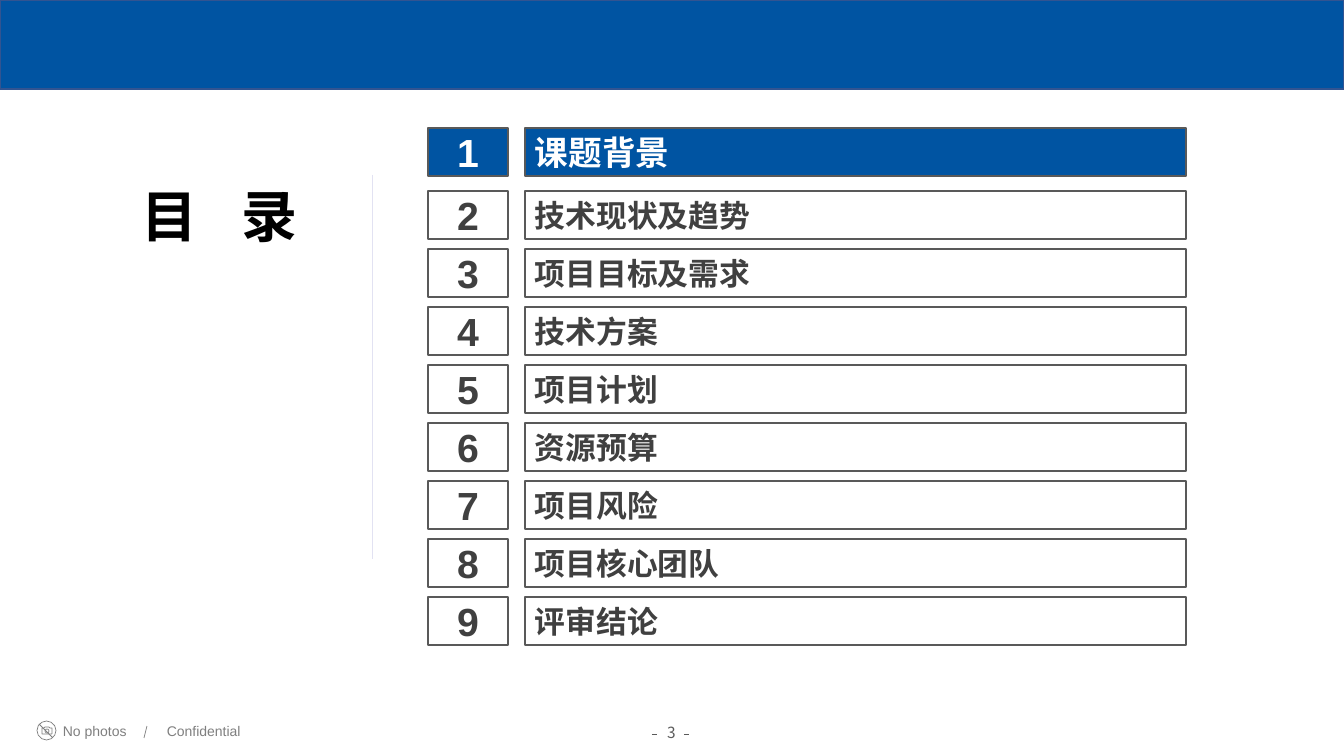
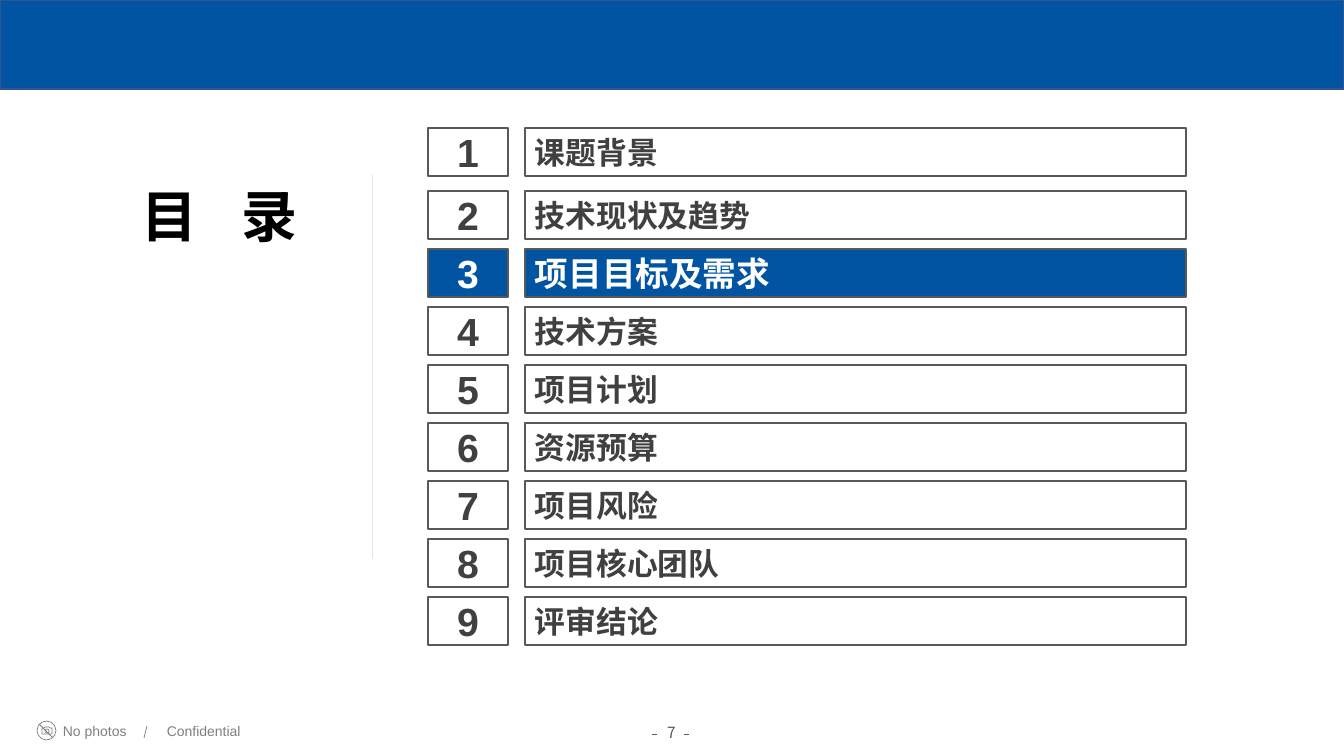
from dataclasses import dataclass

from lxml.etree import SubElement
from pptx import Presentation
from pptx.dml.color import RGBColor
from pptx.enum.shapes import MSO_CONNECTOR as Connector, MSO_SHAPE as Shape
from pptx.enum.text import MSO_ANCHOR as Anchor, MSO_AUTO_SIZE as AutoSize, PP_ALIGN as Align
from pptx.oxml.ns import qn
from pptx.util import Pt

TITLE = ("目", "录")
CHAPTERS = [
    "课题背景",
    "技术现状及趋势",
    "项目目标及需求",
    "技术方案",
    "项目计划",
    "资源预算",
    "项目风险",
    "项目核心团队",
    "评审结论",
]
AGENDA_SLIDES = [
    {"page": 3, "active": 1},
    {"page": 7, "active": 3},
]
FOOTER_LABELS = [("No photos", 53, 89), ("Confidential", 157, 95)]
CAMERA_OUTLINE = [(42, 728), (44, 728), (45, 727), (49, 727),
                  (50, 728), (52, 728), (52, 734), (42, 734)]

PX = 914400 / 100.8
SLIDE_SIZE = (1344, 756)
BAND_BOX = (0, 0, 1344, 89)
TITLE_BOX = (76, 176, 287, 78)
PAGE_BOX = (637, 718, 69, 29)
NUMBER_LEFT, NUMBER_WIDTH = 428, 80
CHAPTER_LEFT, CHAPTER_WIDTH = 525, 661
ROW_HEIGHT, ROW_PITCH = 48, 58
FIRST_ROW_TOP, SECOND_ROW_TOP = 128, 191


@dataclass(frozen=True)
class Theme:
    blue: str = "0054A2"
    band_edge: str = "325491"
    box_edge: str = "595959"
    text: str = "404040"
    title: str = "000000"
    white: str = "FFFFFF"
    footer: str = "7F7F7F"
    page: str = "5A5A5A"
    divider: str = "E2E2F2"
    latin: str = "Arial"
    chinese: str = "Noto Sans CJK SC"
    title_size: int = 40
    title_gap: int = 22
    number_size: int = 28
    chapter_size: int = 22
    active_size: int = 24
    footer_size: int = 10
    page_size: int = 11


THEME = Theme()


def px(*lengths):
    return [round(length * PX) for length in lengths]


def style_paragraph(paragraph, size, color, bold=False, align=Align.LEFT, font=THEME.latin):
    paragraph.alignment = align
    paragraph.font.size = Pt(size)
    paragraph.font.bold = bold
    paragraph.font.name = font
    paragraph.font.color.rgb = RGBColor.from_string(color)
    defaults = paragraph._p.get_or_add_pPr().find(qn("a:defRPr"))
    SubElement(defaults, qn("a:ea")).set("typeface", THEME.chinese)


def style_shape(shape, fill, edge, width):
    shape.shadow.inherit = False
    if fill:
        shape.fill.solid()
        shape.fill.fore_color.rgb = RGBColor.from_string(fill)
    else:
        shape.fill.background()
    shape.line.color.rgb = RGBColor.from_string(edge)
    shape.line.width = Pt(width)


def add_box(slide, kind, box, fill=None, edge=THEME.box_edge, width=1):
    shape = slide.shapes.add_shape(kind, *px(*box))
    style_shape(shape, fill, edge, width)
    return shape


def add_line(slide, start, end, color):
    line = slide.shapes.add_connector(Connector.STRAIGHT, *px(*start, *end))
    line.line.color.rgb = RGBColor.from_string(color)
    line.line.width = Pt(0.5)
    SubElement(line._element.spPr, qn("a:effectLst"))


def add_label(slide, text, box, wrap=False, **style):
    frame = slide.shapes.add_textbox(*px(*box)).text_frame
    frame.word_wrap = wrap
    frame.text = text
    style_paragraph(frame.paragraphs[0], **style)


def add_no_photos_icon(slide):
    add_box(slide, Shape.OVAL, (37, 721, 19, 19), edge=THEME.footer, width=0.5)
    builder = slide.shapes.build_freeform(*CAMERA_OUTLINE[0], scale=PX)
    builder.add_line_segments(CAMERA_OUTLINE[1:], close=True)
    style_shape(builder.convert_to_shape(), None, THEME.footer, 0.5)
    add_box(slide, Shape.OVAL, (45, 729, 4, 4), edge=THEME.footer, width=0.5)
    add_line(slide, (39, 724), (53, 738), THEME.footer)


def add_footer(slide, page):
    add_no_photos_icon(slide)
    for text, left, width in FOOTER_LABELS:
        add_label(slide, text, (left, 718, width, 27),
                  size=THEME.footer_size, color=THEME.footer)
    add_line(slide, (147, 726), (144, 738), THEME.footer)
    for dash_left in (652, 684):
        add_line(slide, (dash_left, 734), (dash_left + 5, 734), THEME.page)
    add_label(slide, str(page), PAGE_BOX, wrap=True, size=THEME.page_size,
              color=THEME.page, align=Align.CENTER, font=THEME.chinese)


def set_title(slide):
    """Fill the title placeholder, widening the single space between its characters."""
    title = slide.shapes.title
    title.left, title.top, title.width, title.height = px(*TITLE_BOX)
    frame = title.text_frame
    frame.word_wrap = True
    frame.auto_size = AutoSize.SHAPE_TO_FIT_TEXT
    frame.vertical_anchor = Anchor.TOP
    paragraph = frame.paragraphs[0]
    first, last = TITLE
    for text in (first, " ", last):
        run = paragraph.add_run()
        run.text = text
        if text == " ":
            run._r.get_or_add_rPr().set("spc", str(THEME.title_gap * 100))
    style_paragraph(paragraph, THEME.title_size, THEME.title, bold=True, align=Align.CENTER)


def add_chapter_row(slide, number, chapter, active):
    top = FIRST_ROW_TOP if number == 1 else SECOND_ROW_TOP + (number - 2) * ROW_PITCH
    fill, color = (THEME.blue, THEME.white) if active else (None, THEME.text)
    chapter_size = THEME.active_size if active else THEME.chapter_size
    cells = [
        (str(number), NUMBER_LEFT, NUMBER_WIDTH, THEME.number_size, Align.CENTER),
        (chapter, CHAPTER_LEFT, CHAPTER_WIDTH, chapter_size, Align.LEFT),
    ]
    for text, left, width, size, align in cells:
        frame = add_box(slide, Shape.RECTANGLE, (left, top, width, ROW_HEIGHT), fill).text_frame
        frame.vertical_anchor = Anchor.MIDDLE
        frame.text = text
        style_paragraph(frame.paragraphs[0], size, color, bold=True, align=align)


def add_agenda_slide(presentation, page, active):
    slide = presentation.slides.add_slide(presentation.slide_layouts.get_by_name("Title Only"))
    add_box(slide, Shape.RECTANGLE, BAND_BOX, THEME.blue, THEME.band_edge)
    add_footer(slide, page)
    set_title(slide)
    add_line(slide, (372, 175), (372, 559), THEME.divider)
    for number, chapter in enumerate(CHAPTERS, start=1):
        add_chapter_row(slide, number, chapter, number == active)


def main():
    presentation = Presentation()
    presentation.slide_width, presentation.slide_height = px(*SLIDE_SIZE)
    for agenda in AGENDA_SLIDES:
        add_agenda_slide(presentation, **agenda)
    presentation.save("out.pptx")


if __name__ == "__main__":
    main()
